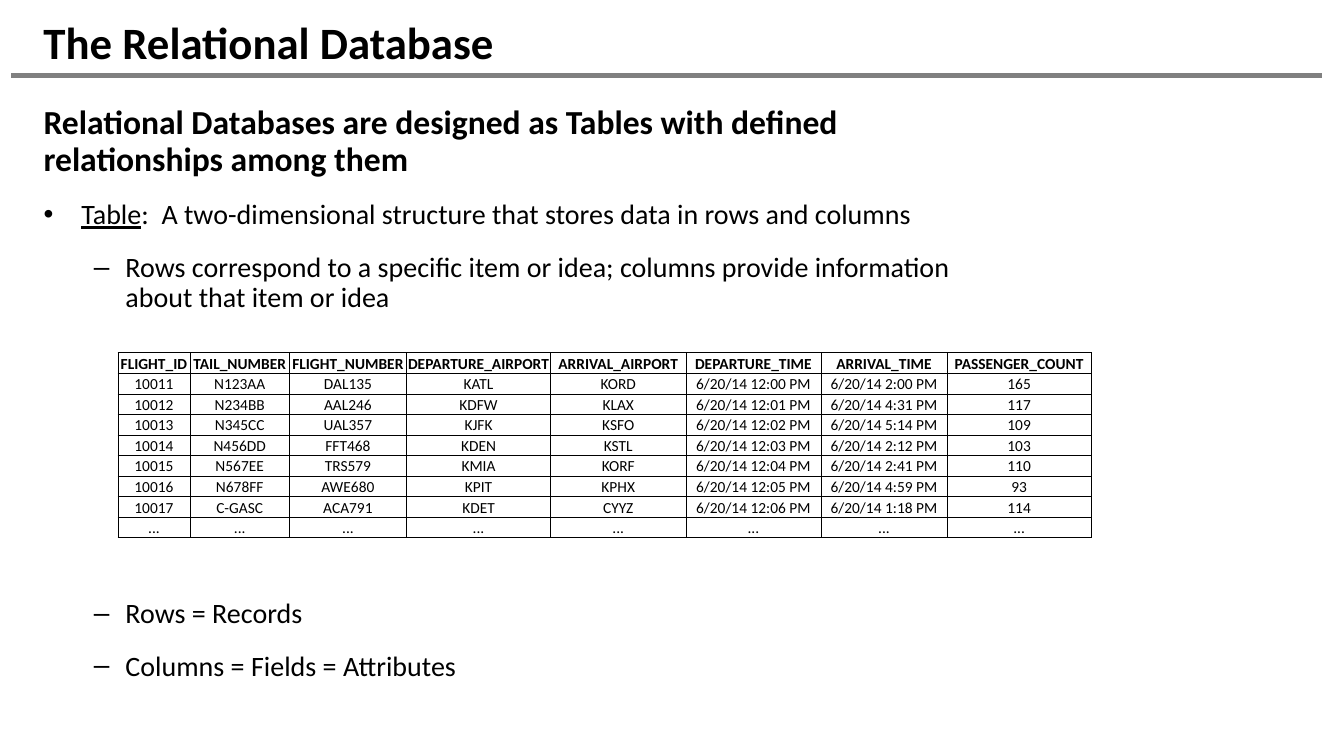
from lxml import etree
from pptx import Presentation
from pptx.dml.color import RGBColor
from pptx.enum import shapes, text
from pptx.oxml import ns
from pptx.util import Pt

COLORS = {"ink": "000000", "rule": "808080"}
FONT = "Calibri"

COLUMNS = [
    ("FLIGHT_ID", 51.6), ("TAIL_NUMBER", 71), ("FLIGHT_NUMBER", 83.6),
    ("DEPARTURE_AIRPORT", 103), ("ARRIVAL_AIRPORT", 96.6),
    ("DEPARTURE_TIME", 96.6), ("ARRIVAL_TIME", 90), ("PASSENGER_COUNT", 103),
]
FLIGHTS = [
    ("10011", "N123AA", "DAL135", "KATL", "KORD", "12:00", "2:00", "165"),
    ("10012", "N234BB", "AAL246", "KDFW", "KLAX", "12:01", "4:31", "117"),
    ("10013", "N345CC", "UAL357", "KJFK", "KSFO", "12:02", "5:14", "109"),
    ("10014", "N456DD", "FFT468", "KDEN", "KSTL", "12:03", "2:12", "103"),
    ("10015", "N567EE", "TRS579", "KMIA", "KORF", "12:04", "2:41", "110"),
    ("10016", "N678FF", "AWE680", "KPIT", "KPHX", "12:05", "4:59", "93"),
    ("10017", "C-GASC", "ACA791", "KDET", "CYYZ", "12:06", "1:18", "114"),
]


def sub(parent, tag, **attrs):
    return etree.SubElement(parent, ns.qn(tag), **attrs)


def write(p, words, size=20, bold=False, underline=False):
    """Add one formatted run to a paragraph."""
    r = p.add_run()
    r.text = words
    r.font.name, r.font.size = FONT, Pt(size)
    r.font.bold, r.font.underline = bold, underline
    r.font.color.rgb = RGBColor.from_string(COLORS["ink"])


class SlideBuilder:
    # bullet character, left margin and hanging indent for each level
    BULLETS = [("•", 27, 27), ("–", 58.5, 22.5)]
    LINE_SPACING, SPACE_BEFORE = 0.9, 16

    def __init__(self, prs):
        self.s = prs.slides.add_slide(prs.slide_layouts[6])

    def rule(self, x1, x2, y, width):
        line = self.s.shapes.add_connector(
            shapes.MSO_CONNECTOR.STRAIGHT, Pt(x1), Pt(y), Pt(x2), Pt(y))
        line.line.color.rgb = RGBColor.from_string(COLORS["rule"])
        line.line.width = Pt(width)
        sub(line._element.spPr, "a:effectLst")

    def box(self, x, y, w, h, anchor=text.MSO_ANCHOR.TOP):
        tf = self.s.shapes.add_textbox(Pt(x), Pt(y), Pt(w), Pt(h)).text_frame
        tf.word_wrap = True
        tf.vertical_anchor = anchor
        return tf

    def paragraph(self, tf, level=None):
        """Return the next body paragraph, bulleted if a level is given."""
        first = not tf.paragraphs[0].runs
        p = tf.paragraphs[0] if first else tf.add_paragraph()
        if level is not None:
            char, left, hang = self.BULLETS[level]
            p.level = level
            pPr = p._p.get_or_add_pPr()
            pPr.set("marL", str(Pt(left)))
            pPr.set("indent", str(-Pt(hang)))
            sub(pPr, "a:buFont", typeface="Arial")
            sub(pPr, "a:buChar", char=char)
        p.line_spacing = self.LINE_SPACING
        p.space_before = Pt(0 if first else self.SPACE_BEFORE)
        return p

    def cell(self, cell, words, bold):
        cell.margin_left = cell.margin_right = cell.margin_top = Pt(0.6)
        cell.margin_bottom = 0
        cell.vertical_anchor = text.MSO_ANCHOR.BOTTOM
        tcPr = cell._tc.get_or_add_tcPr()
        for side in "LRTB":
            border = sub(tcPr, f"a:ln{side}", w=str(Pt(0.5)))
            fill = sub(border, "a:solidFill")
            sub(fill, "a:srgbClr", val=COLORS["ink"])
        cell.fill.background()
        p = cell.text_frame.paragraphs[0]
        p.alignment = text.PP_ALIGN.CENTER
        write(p, words, size=11, bold=bold)

    def table(self, x, y, widths, row_height, rows):
        table = self.s.shapes.add_table(
            len(rows), len(widths), Pt(x), Pt(y),
            Pt(sum(widths)), Pt(row_height * len(rows))).table
        table.first_row = table.horz_banding = False
        for column, width in zip(table.columns, widths):
            column.width = Pt(width)
        for i, values in enumerate(rows):
            table.rows[i].height = Pt(row_height)
            for j, value in enumerate(values):
                self.cell(table.cell(i, j), value, bold=i == 0)


def main():
    prs = Presentation()
    prs.slide_width, prs.slide_height = Pt(960), Pt(540)
    slide = SlideBuilder(prs)

    slide.rule(8, 944, 54, 3)
    title = slide.box(24, 12, 920, 36, text.MSO_ANCHOR.MIDDLE)
    write(title.paragraphs[0], "The Relational Database", size=32, bold=True)

    body = slide.box(24, 72, 666, 160)
    write(slide.paragraph(body),
          "Relational Databases are designed as Tables with defined "
          "relationships among them", size=24, bold=True)
    definition = slide.paragraph(body, level=0)
    write(definition, "Table", underline=True)
    write(definition,
          ":  A two-dimensional structure that stores data in rows and columns")
    write(slide.paragraph(body, level=1),
          "Rows correspond to a specific item or idea; columns provide "
          "information about that item or idea")

    names, widths = zip(*COLUMNS)
    flights = [(*ids, f"6/20/14 {leaves} PM", f"6/20/14 {lands} PM", count)
               for *ids, leaves, lands, count in FLIGHTS]
    slide.table(84.2, 252, widths, 14.7,
                [names, *flights, ["..."] * len(names)])

    terms = slide.box(24, 424.5, 666, 68)
    for term in ("Rows = Records", "Columns = Fields = Attributes"):
        write(slide.paragraph(terms, level=1), term)

    prs.save("out.pptx")


if __name__ == "__main__":
    main()
